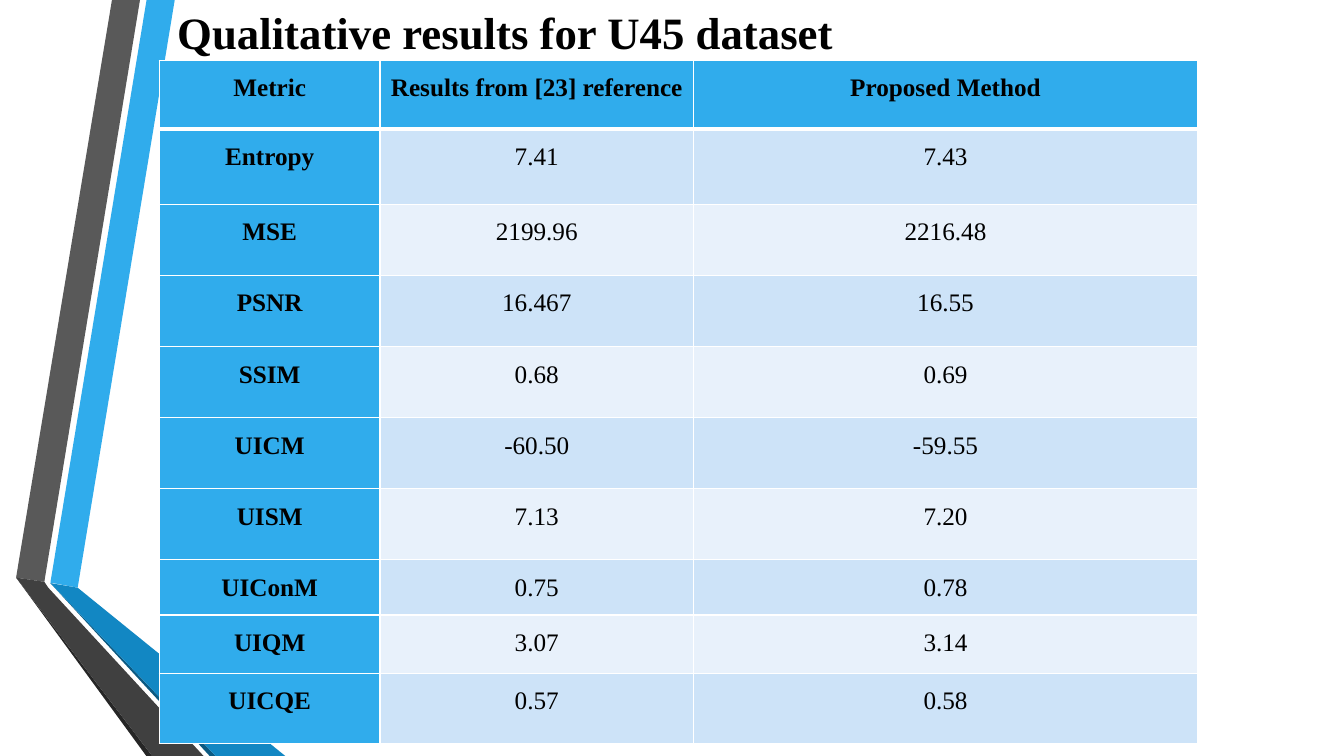
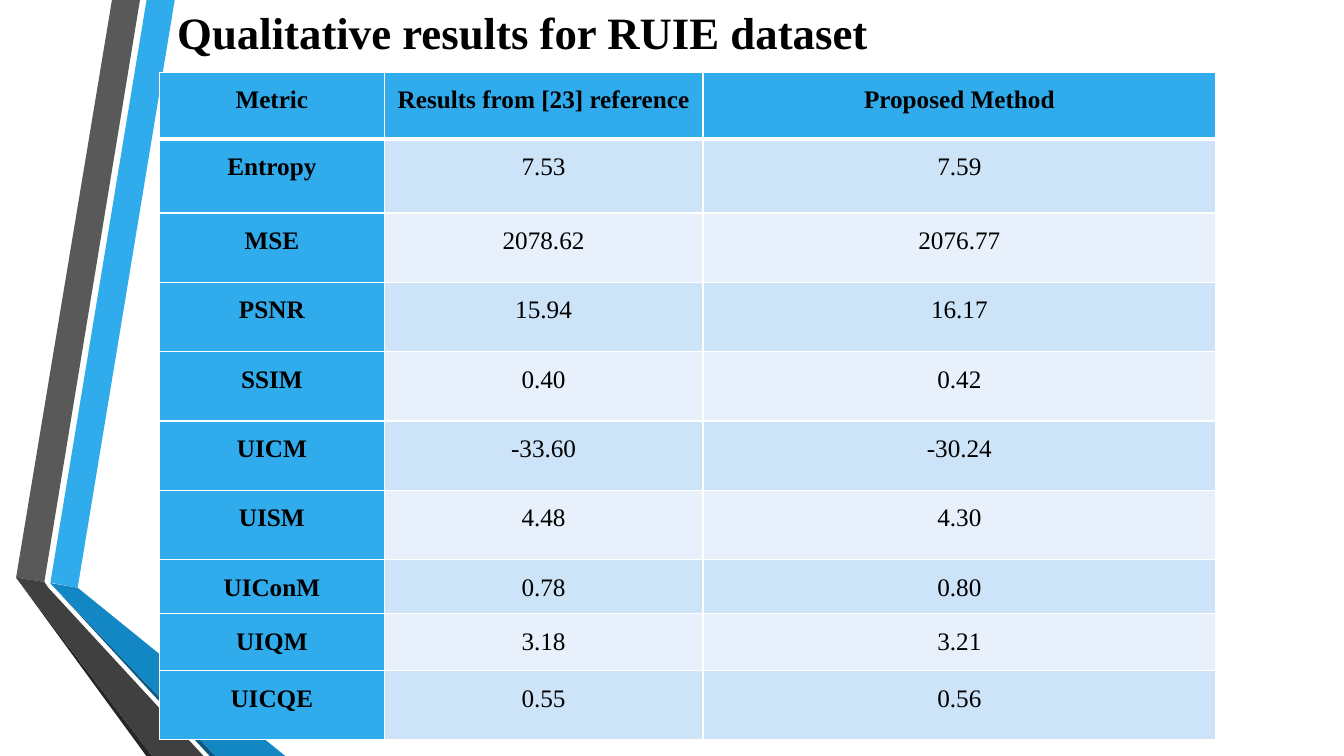
from dataclasses import dataclass

from lxml.etree import SubElement
from pptx import Presentation
from pptx.dml.color import RGBColor
from pptx.enum.text import PP_ALIGN
from pptx.oxml.ns import qn
from pptx.util import Pt


@dataclass(frozen=True)
class Theme:
    """Colours and type sizes shared by the slides."""
    font: str = "Times New Roman"
    title_size: float = 32
    table_size: float = 18
    text: str = "000000"
    border: str = "FFFFFF"
    accent: str = "30ACEC"
    accent_dark: str = "1287C3"
    accent_shadow: str = "0C5A82"
    grey: str = "595959"
    grey_dark: str = "404040"
    grey_shadow: str = "262626"
    bands: tuple = ("CDE3F8", "E8F1FB")


@dataclass(frozen=True)
class Box:
    """A region of a slide, in points."""
    left: float
    top: float
    width: float
    height: float

    def lengths(self):
        """Return the four lengths for an add method."""
        return Pt(self.left), Pt(self.top), Pt(self.width), Pt(self.height)


THEME = Theme()
RIBBON_BOX = Box(11.5, 0, 192.3, 540)
TITLE_BOX = Box(119.5, 0, 564.5, 46)
RIBBONS = (
    (THEME.accent, ((24.5, 416.2), (44, 419.8), (113.3, 0), (93.2, 0))),
    (THEME.grey, ((88.5, 0), (68.5, 0), (0, 412.6), (20.2, 415.6))),
    (THEME.grey_shadow, ((0, 412.6), (93, 540), (97.2, 540))),
    (THEME.accent_shadow, ((24.5, 416.5), (138.3, 540), (142.6, 540))),
    (THEME.accent_dark, ((24.5, 416.5), (142.6, 540), (192.3, 540), (44, 419.8))),
    (THEME.grey_dark, ((133.9, 540), (23, 419.8), (20.2, 415.6), (0, 412.6), (97.2, 540))),
)
HEADINGS = ("Metric", "Results from [23] reference", "Proposed Method")
METRICS = ("Entropy", "MSE", "PSNR", "SSIM", "UICM", "UISM", "UIConM", "UIQM", "UICQE")
COLUMN_WEIGHTS = (2.19, 3.11, 5)
ROW_WEIGHTS = (48.8, 54.2, *[50.8] * 5, 39.5, 41.8, 50.4)
RESULTS = (
    ("Qualitative results for U45 dataset", Box(113.8, 43.2, 741.6, 488.2),
     ("7.41", "2199.96", "16.467", "0.68", "-60.50", "7.13", "0.75", "3.07", "0.57"),
     ("7.43", "2216.48", "16.55", "0.69", "-59.55", "7.20", "0.78", "3.14", "0.58")),
    ("Qualitative results for RUIE dataset", Box(114, 51.8, 754.4, 476.6),
     ("7.53", "2078.62", "15.94", "0.40", "-33.60", "4.48", "0.78", "3.18", "0.55"),
     ("7.59", "2076.77", "16.17", "0.42", "-30.24", "4.30", "0.80", "3.21", "0.56")),
)


def style_paragraph(paragraph, size, bold):
    """Give a paragraph the theme font."""
    font = paragraph.font
    font.name, font.size, font.bold = THEME.font, Pt(size), bold
    font.color.rgb = RGBColor.from_string(THEME.text)


def add_ribbons(slide, box):
    """Draw the folded ribbons down the left edge."""
    for color, outline in RIBBONS:
        points = [(Pt(box.left + x), Pt(box.top + y)) for x, y in outline]
        builder = slide.shapes.build_freeform(*points[0])
        builder.add_line_segments(points[1:], close=True)
        shape = builder.convert_to_shape()
        shape.shadow.inherit = False
        shape.fill.solid()
        shape.fill.fore_color.rgb = RGBColor.from_string(color)
        shape.line.fill.background()


def add_title(slide, box, title):
    """Place the slide title."""
    frame = slide.shapes.add_textbox(*box.lengths()).text_frame
    frame.word_wrap = True
    frame.text = title
    style_paragraph(frame.paragraphs[0], THEME.title_size, True)


def set_borders(cell, top, bottom):
    """Draw the four cell borders with the given top and bottom widths."""
    properties = cell._tc.get_or_add_tcPr()
    for side, width in (("L", 1), ("R", 1), ("T", top), ("B", bottom)):
        line = SubElement(properties, qn(f"a:ln{side}"), w=str(Pt(width)))
        fill = SubElement(line, qn("a:solidFill"))
        SubElement(fill, qn("a:srgbClr"), val=THEME.border)


def fill_cell(cell, text, row, column):
    """Write and style one cell by its place in the table."""
    heading = row == 0 or column == 0
    color = THEME.accent if heading else THEME.bands[(row - 1) % 2]
    set_borders(cell, 3 if row == 1 else 1, 3 if row == 0 else 1)
    cell.fill.solid()
    cell.fill.fore_color.rgb = RGBColor.from_string(color)
    cell.margin_left = cell.margin_right = Pt(5)
    cell.margin_top = cell.margin_bottom = 0
    cell.text = text
    paragraph = cell.text_frame.paragraphs[0]
    paragraph.alignment = PP_ALIGN.CENTER
    paragraph.line_spacing = 1.5
    style_paragraph(paragraph, THEME.table_size, heading)


def add_results_table(slide, box, rows):
    """Place the metric table, sharing out the box by weight."""
    table = slide.shapes.add_table(len(rows), len(HEADINGS), *box.lengths()).table
    for column, weight in zip(table.columns, COLUMN_WEIGHTS):
        column.width = Pt(box.width * weight / sum(COLUMN_WEIGHTS))
    for row, weight in zip(table.rows, ROW_WEIGHTS):
        row.height = Pt(box.height * weight / sum(ROW_WEIGHTS))
    for row, texts in enumerate(rows):
        for column, text in enumerate(texts):
            fill_cell(table.cell(row, column), text, row, column)


def add_results_slide(presentation, title, table_box, reference, proposed):
    """Build one slide of results."""
    slide = presentation.slides.add_slide(presentation.slide_layouts[6])
    add_ribbons(slide, RIBBON_BOX)
    add_title(slide, TITLE_BOX, title)
    add_results_table(slide, table_box, [HEADINGS, *zip(METRICS, reference, proposed)])


def main():
    """Build and save the presentation."""
    presentation = Presentation()
    presentation.slide_width, presentation.slide_height = Pt(960), Pt(540)
    for result in RESULTS:
        add_results_slide(presentation, *result)
    presentation.save("out.pptx")


if __name__ == "__main__":
    main()
